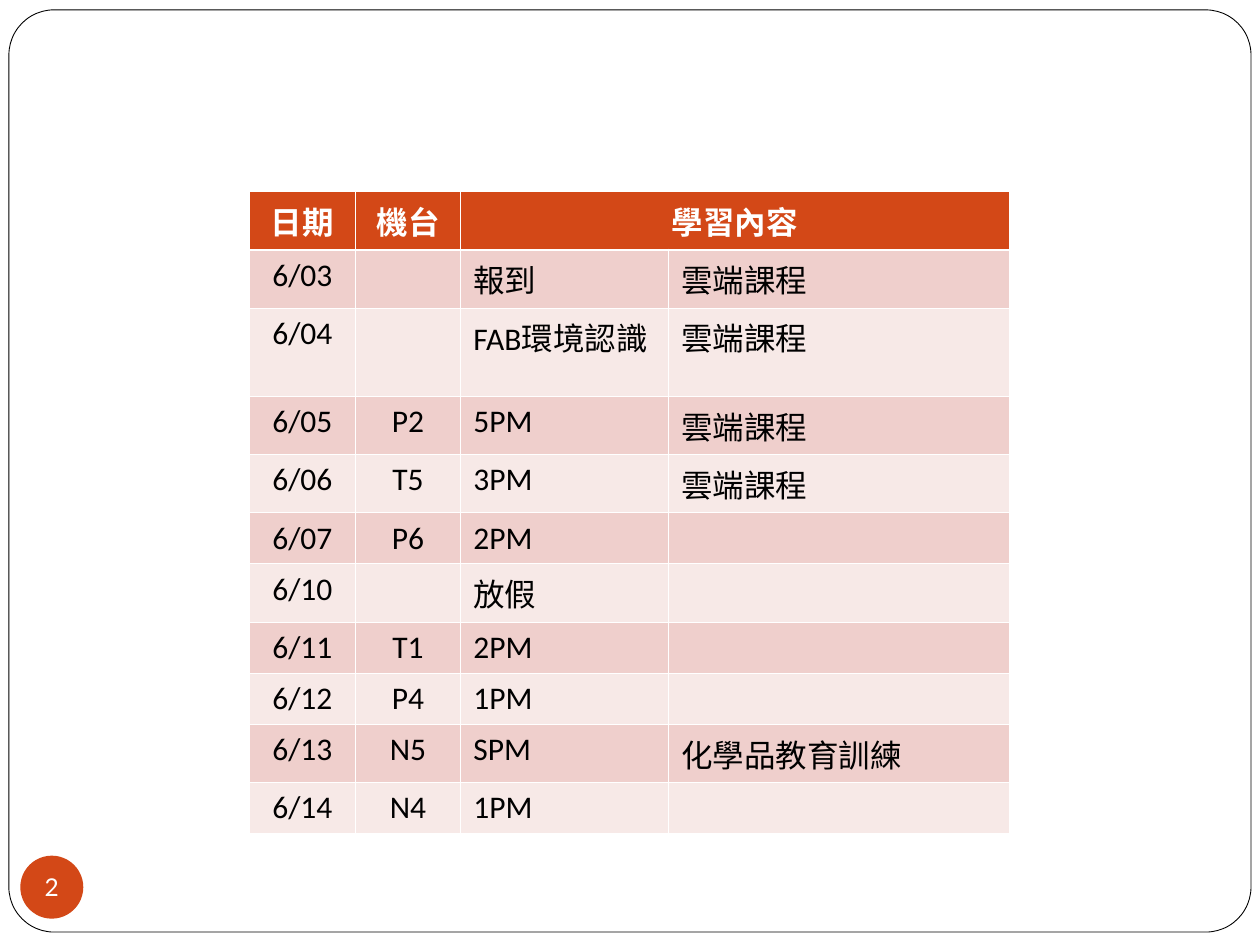
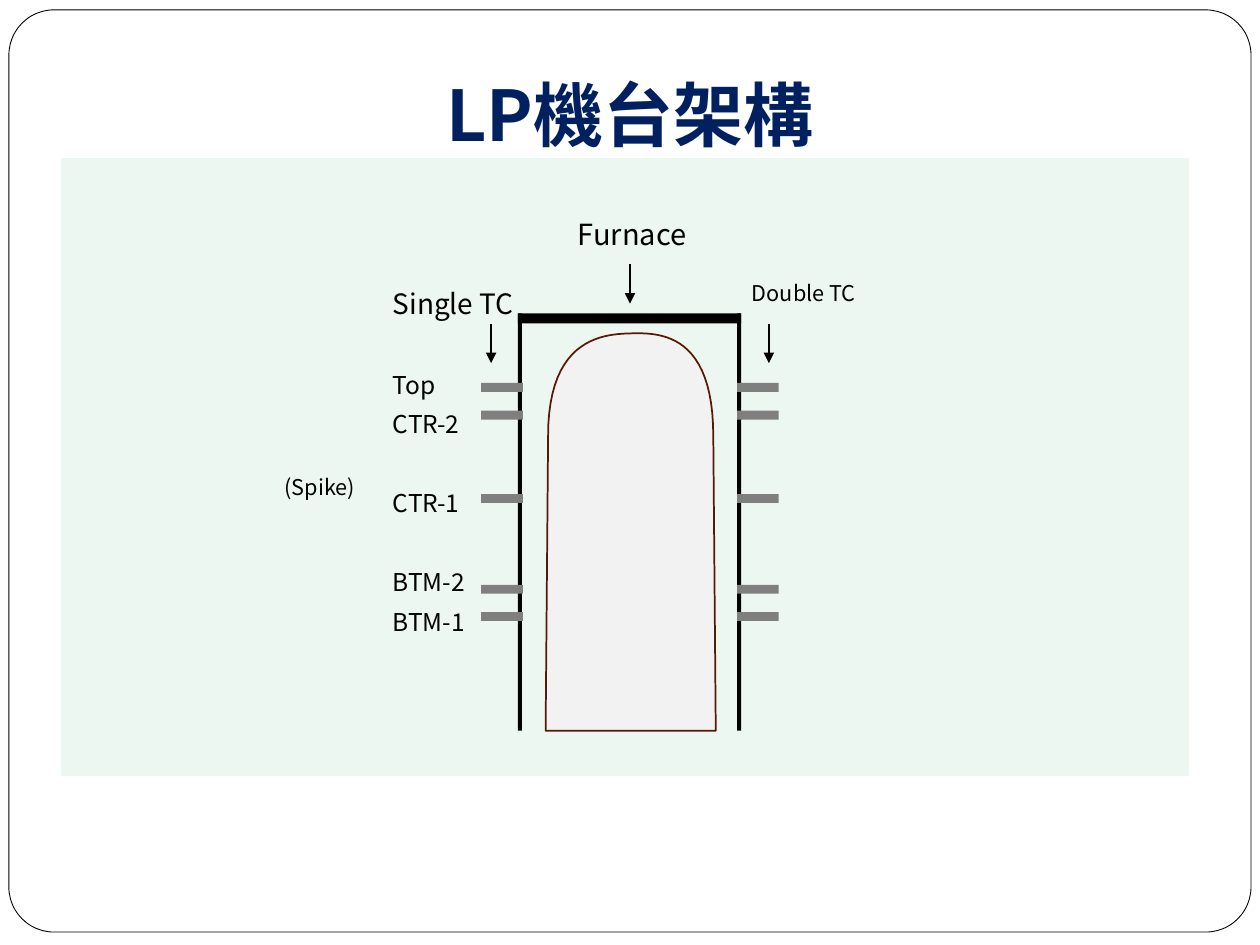
from lxml.etree import SubElement
from pptx import Presentation
from pptx.dml.color import RGBColor
from pptx.enum.shapes import MSO_CONNECTOR as Connector, MSO_SHAPE as Shape
from pptx.enum.text import MSO_ANCHOR as Anchor, PP_ALIGN as Align
from pptx.oxml import parse_xml
from pptx.oxml.ns import nsdecls, qn
from pptx.util import Cm, Pt

COLORS = {
    "white": "FFFFFF", "black": "000000", "accent": "D34817",
    "band_dark": "EFCFCC", "band_light": "F7E9E7", "title": "002060",
    "panel": "ECF7F1", "sensor": "7F7F7F", "tube": "F2F2F2", "tube_edge": "581904",
}
CJK = "Noto Sans CJK SC"


def write_text(frame, text, size=18, font=CJK, color="black", bold=False,
               align=Align.LEFT, spacing=None, before=None, new=False):
    para = frame.add_paragraph() if new else frame.paragraphs[0]
    para.alignment = align
    if spacing is not None:
        para.line_spacing = spacing
    if before is not None:
        para.space_before = Pt(before)
    span = para.add_run()
    span.text = text
    span.font.size = Pt(size)
    span.font.bold = bold
    span.font.color.rgb = RGBColor.from_string(COLORS[color])
    span.font.name = font
    SubElement(span.font._element, qn("a:ea"), typeface=CJK)


def draw_shape(page, kind, left, top, width, height, fill, line=None, weight=1):
    shape = page.shapes.add_shape(kind, Cm(left), Cm(top), Cm(width), Cm(height))
    shape.shadow.inherit = False
    shape.fill.solid()
    shape.fill.fore_color.rgb = RGBColor.from_string(COLORS[fill])
    if line:
        shape.line.color.rgb = RGBColor.from_string(COLORS[line])
        shape.line.width = Pt(weight)
    else:
        shape.line.fill.background()
    return shape


deck = Presentation()
deck.slide_width, deck.slide_height = Cm(25.4), Cm(19.05)

# Shared rounded frame
pages = [deck.slides.add_slide(deck.slide_layouts[6]) for _ in range(2)]
for page in pages:
    frame = draw_shape(page, Shape.ROUNDED_RECTANGLE, 0.18, 0.2, 25.04, 18.59,
                       "white", "black", 0.5)
    frame.adjustments[0] = 0.049
schedule_page, furnace_page = pages

# Page number
badge = draw_shape(schedule_page, Shape.OVAL, 0.41, 17.25, 1.27, 1.27, "accent")
badge_text = badge.text_frame
badge_text.margin_left = badge_text.margin_right = 0
badge_text.margin_top = badge_text.margin_bottom = 0
badge_text.word_wrap = False
badge_text.vertical_anchor = Anchor.MIDDLE
write_text(badge_text, "2", size=14, font="Lato", color="white", align=Align.CENTER)

# Training schedule
schedule = [
    ("日期", "機台", "學習內容", ""),
    ("6/03", "", "報到", "雲端課程"),
    ("6/04", "", "FAB環境認識", "雲端課程"),
    ("6/05", "P2", "5PM", "雲端課程"),
    ("6/06", "T5", "3PM", "雲端課程"),
    ("6/07", "P6", "2PM", ""),
    ("6/10", "", "放假", ""),
    ("6/11", "T1", "2PM", ""),
    ("6/12", "P4", "1PM", ""),
    ("6/13", "N5", "SPM", "化學品教育訓練"),
    ("6/14", "N4", "1PM", ""),
]
table = schedule_page.shapes.add_table(
    len(schedule), 4, Cm(5.03), Cm(3.86), Cm(15.31), Cm(11.98)).table
table.first_row = table.horz_banding = False
for column, width in zip(table.columns, (2.13, 2.13, 4.19, 6.86)):
    column.width = Cm(width)
for r, entries in enumerate(schedule):
    table.rows[r].height = Cm(1.78 if r == 2 else 1.02)
    header = r == 0
    fill = "accent" if header else "band_dark" if r % 2 else "band_light"
    for c, text in enumerate(entries):
        cell = table.cell(r, c)
        cell.fill.solid()
        cell.fill.fore_color.rgb = RGBColor.from_string(COLORS[fill])
        if text:
            write_text(cell.text_frame, text, font="Calibri", bold=header,
                       color="white" if header else "black",
                       align=Align.CENTER if header or c < 2 else Align.LEFT)
        # White borders, heavier under the header
        heavy = {0: "B", 1: "T"}.get(r)
        for i, side in enumerate("LRTB"):
            width = Pt(1.47 if side == heavy else 0.45)
            cell._tc.get_or_add_tcPr().insert(i, parse_xml(
                f'<a:ln{side} {nsdecls("a")} w="{width}"><a:solidFill>'
                f'<a:srgbClr val="{COLORS["white"]}"/></a:solidFill></a:ln{side}>'))
table.cell(0, 2).merge(table.cell(0, 3))

# Panel and furnace walls
draw_shape(furnace_page, Shape.RECTANGLE, 1.24, 3.2, 22.71, 12.42, "panel", "panel")
for left, width, height in ((10.44, 0.08, 8.41), (14.86, 0.08, 8.41), (10.44, 4.5, 0.2)):
    draw_shape(furnace_page, Shape.RECTANGLE, left, 6.32, width, height, "black")

# Quartz tube with a domed top, sampled from two Bézier curves
domes = [
    ((11.05, 8.79), (11.05, 6.76), (12.22, 6.73), (12.78, 6.72)),
    ((12.78, 6.72), (13.34, 6.71), (14.38, 6.76), (14.38, 8.79)),
]
STEPS = 24
outline = [(11.05, 8.79)]
for dome in domes:
    for step in range(1, STEPS + 1):
        t = step / STEPS
        weights = ((1 - t) ** 3, 3 * t * (1 - t) ** 2, 3 * t ** 2 * (1 - t), t ** 3)
        outline.append(tuple(sum(w * point[axis] for w, point in zip(weights, dome))
                             for axis in (0, 1)))
outline.append((14.43, 14.73))
builder = furnace_page.shapes.build_freeform(Cm(11), Cm(14.73))
builder.add_line_segments([(Cm(x), Cm(y)) for x, y in outline], close=True)
tube = builder.convert_to_shape()
tube.shadow.inherit = False
tube.fill.solid()
tube.fill.fore_color.rgb = RGBColor.from_string(COLORS["tube"])
tube.line.color.rgb = RGBColor.from_string(COLORS["tube_edge"])
tube.line.width = Pt(1)

# Thermocouples on both walls
for left in (9.7, 14.86):
    for top in (7.72, 8.28, 9.96, 11.79, 12.34):
        draw_shape(furnace_page, Shape.RECTANGLE, left, top, 0.84, 0.18, "sensor")

# Arrows
for x, top in ((12.7, 5.33), (9.9, 6.53), (15.5, 6.53)):
    arrow = furnace_page.shapes.add_connector(
        Connector.STRAIGHT, Cm(x), Cm(top), Cm(x), Cm(top + 0.79))
    arrow.line.color.rgb = RGBColor.from_string(COLORS["black"])
    arrow.line.width = Pt(0.75)
    SubElement(arrow.line._get_or_add_ln(), qn("a:tailEnd"), type="triangle")
    SubElement(arrow._element.spPr, qn("a:effectLst"))

# Title and labels: place, then a list of (text, format) paragraphs
ROW = {"size": 14, "spacing": Pt(20.3), "before": 2.3}
GAP_ROW = {**ROW, "before": 24.9}
SMALL = {"size": 12.4, "spacing": 0.8}
labels = [
    ((1.9, 1.32, 21.59, 2.01), [
        ("LP機台架構", {"size": 40, "color": "title", "bold": True, "align": Align.CENTER})]),
    ((11.4, 4.32, 3.05, 0.99), [("Furnace", {"size": 16.6, "spacing": 0.9})]),
    ((14.91, 5.61, 3.61, 0.79), [("Double TC", SMALL)]),
    ((5.49, 9.53, 2.31, 0.79), [("(Spike)", SMALL)]),
    ((7.67, 5.61, 3.05, 8.1), [
        ("Single TC", {"size": 16, "spacing": Pt(20.3)}),
        ("Top", GAP_ROW), ("CTR-2", ROW), ("CTR-1", GAP_ROW),
        ("BTM-2", GAP_ROW), ("BTM-1", ROW)]),
]
for place, lines in labels:
    box = furnace_page.shapes.add_textbox(*(Cm(length) for length in place))
    box.text_frame.word_wrap = True
    for i, (text, style) in enumerate(lines):
        write_text(box.text_frame, text, new=i > 0, **style)

deck.save("out.pptx")
